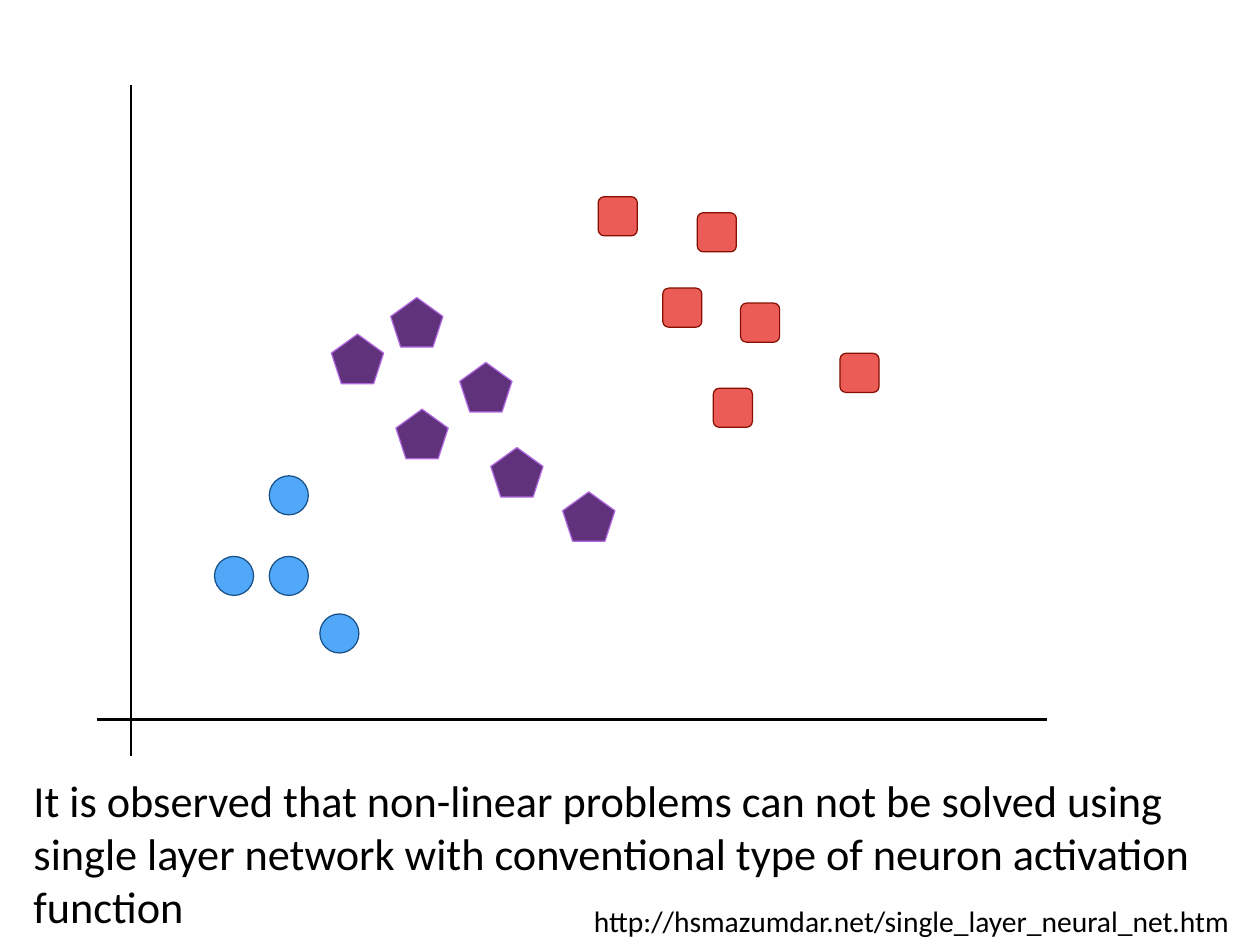
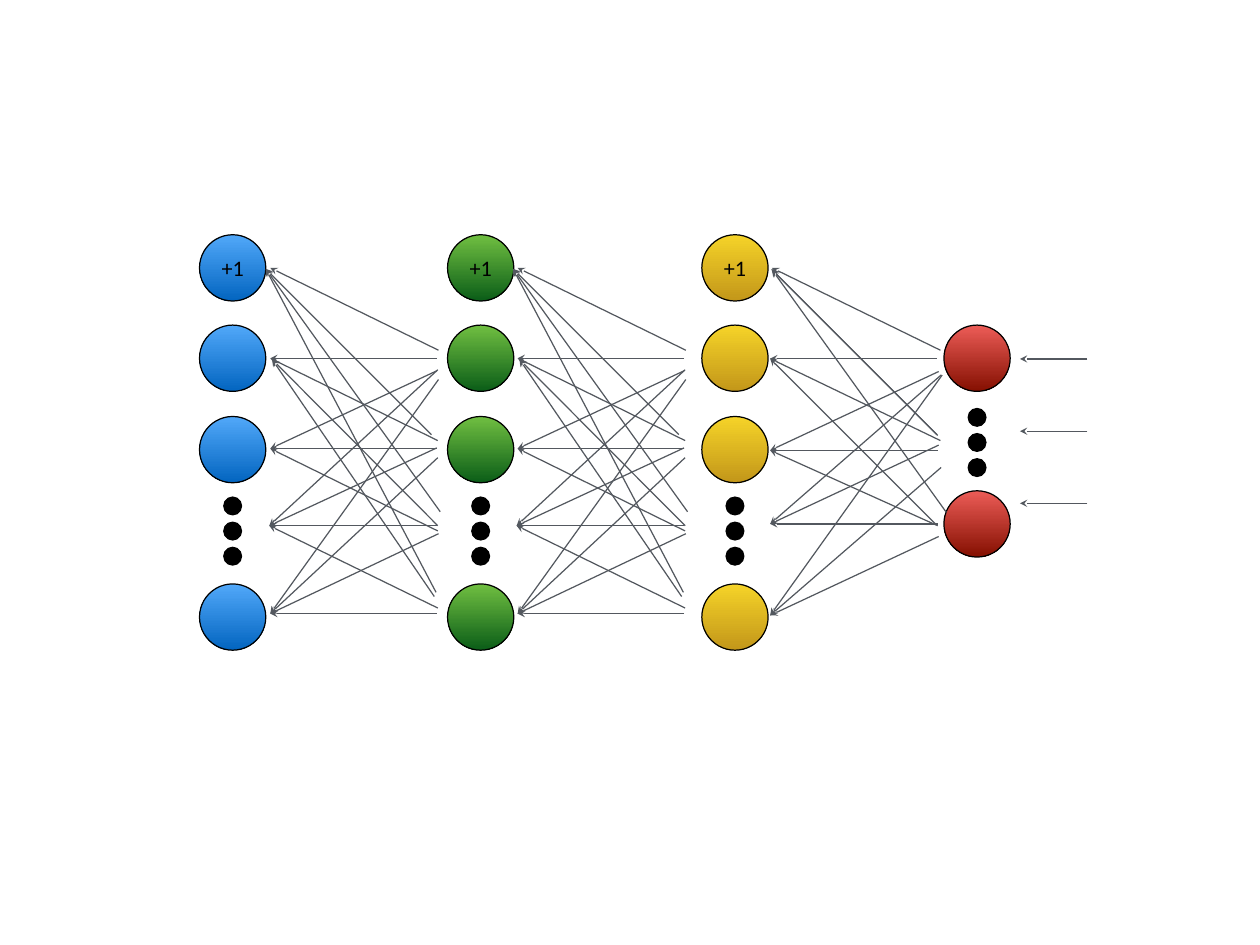
from lxml import etree
from pptx import Presentation
from pptx.dml.color import RGBColor
from pptx.enum.shapes import MSO_CONNECTOR, MSO_SHAPE
from pptx.enum.text import MSO_ANCHOR, MSO_AUTO_SIZE, PP_ALIGN
from pptx.oxml.ns import qn
from pptx.util import Cm, Pt

ELLIPSE = MSO_SHAPE.OVAL
ROUNDED = MSO_SHAPE.ROUNDED_RECTANGLE
PENTAGON = MSO_SHAPE.REGULAR_PENTAGON
STRAIGHT = MSO_CONNECTOR.STRAIGHT
MIDDLE = MSO_ANCHOR.MIDDLE
GROW = MSO_AUTO_SIZE.SHAPE_TO_FIT_TEXT
LEFT, CENTER = PP_ALIGN.LEFT, PP_ALIGN.CENTER

BLACK = RGBColor(0x00, 0x00, 0x00)
GRAY = RGBColor(0x53, 0x58, 0x5F)
SKY = RGBColor(0x51, 0xA8, 0xF9)
BLUE = RGBColor(0x03, 0x65, 0xC0)
NAVY = RGBColor(0x17, 0x4F, 0x86)
CORAL = RGBColor(0xEC, 0x5C, 0x57)
MAROON = RGBColor(0x85, 0x10, 0x01)
PURPLE = RGBColor(0x5F, 0x32, 0x7B)
LILAC = RGBColor(0xB3, 0x6A, 0xE1)
LIME = RGBColor(0x70, 0xBF, 0x41)
GREEN = RGBColor(0x0B, 0x5D, 0x18)
YELLOW = RGBColor(0xF5, 0xD3, 0x28)
GOLD = RGBColor(0xC3, 0x97, 0x1A)

FONT = "Calibri"
INSET = 0.15
SLIDE_SIZE = (36.12, 27.09)

PLOT_BOX = (2.77, 2.44, 27.25, 19.23)
CAPTION_BOX = (0.81, 22.12, 34.49, 4.65)
ADDRESS_BOX = (16.87, 25.83, 18.52, 1.12)
NETWORK_BOX = (5.72, 6.73, 25.45, 11.91)

CAPTION = ("It is observed that non-linear problems can not be solved using "
           "single layer network with conventional type of neuron activation function")
ADDRESS = "http://hsmazumdar.net/single_layer_neural_net.htm"

CLUSTERS = (
    (ELLIPSE, (1.12, 1.12), SKY, NAVY,
     ((4.95, 13.51), (3.38, 13.51), (4.95, 11.2), (6.4, 15.16))),
    (ROUNDED, (1.12, 1.12), CORAL, MAROON,
     ((14.38, 3.2), (17.22, 3.66), (21.31, 7.69), (17.68, 8.69),
      (16.23, 5.82), (18.46, 6.25))),
    (PENTAGON, (1.5, 1.42), PURPLE, LILAC,
     ((8.43, 6.09), (6.73, 7.14), (8.58, 9.29), (10.41, 7.95),
      (13.36, 11.66), (11.3, 10.39))),
)

NODE_SIZE = 1.9
DOT_SIZE = 0.51
DOT_PITCH = 0.72
DEEP_ROWS = (0, 2.59, 5.21, 10.01)
OUTPUT_ROWS = (2.59, 7.34)
LAYERS = (
    (0, (SKY, BLUE), DEEP_ROWS, 7.52, "+1"),
    (7.11, (LIME, GREEN), DEEP_ROWS, 7.52, "+1"),
    (14.4, (YELLOW, GOLD), DEEP_ROWS, 7.52, "+1"),
    (21.34, (CORAL, MAROON), OUTPUT_ROWS, 4.98, ""),
)

DEEP_FANS = (
    ((0.13, 0), ((4.95, 2.36),)),
    ((0, 0.03), ((4.75, 4.78), (5, 6.99), (4.88, 9.3))),
    ((0.13, 2.59), ((4.9, 2.59), (4.93, 4.95))),
    ((0.18, 2.62), ((4.93, 7.39), (4.83, 9.42))),
    ((0.13, 5.18), ((4.9, 2.95), (4.9, 5.18), (4.93, 7.54))),
    ((0.1, 7.39), ((4.93, 2.92), (4.9, 5.16), (4.9, 7.39), (4.93, 9.75))),
    ((0.13, 9.91), ((4.95, 3.2), (4.93, 5.44), (4.95, 7.62), (4.9, 9.91))),
)
OUTPUT_FANS = (
    ((0.05, 0), ((4.88, 2.36),)),
    ((0.05, 0.05), ((4.8, 4.8), (5.05, 7.01))),
    ((0.03, 0.03), ((4.78, 4.78),)),
    ((0, 2.6), ((4.78, 2.6), (4.88, 4.95), (4.72, 7.32))),
    ((0, 5.23), ((4.83, 2.97), (4.8, 5.23), (4.8, 7.39))),
    ((0, 7.34), ((4.9, 3.07), (4.83, 5.08), (4.8, 7.34))),
    ((0, 9.96), ((4.93, 3.07), (4.9, 5.72), (4.83, 7.7))),
)
LINK_TOP = 0.95
LINK_GROUPS = ((1.9, DEEP_FANS), (8.99, DEEP_FANS), (16.36, OUTPUT_FANS))

INPUT_LENGTH = 1.93
INPUT_TOP = 3.56
INPUT_PITCH = 2.07


def write(frame, text, size, align):
    frame.margin_left = frame.margin_right = Cm(INSET)
    frame.margin_top = frame.margin_bottom = Cm(INSET)
    frame.vertical_anchor = MIDDLE
    frame.text = text
    para = frame.paragraphs[0]
    para.alignment = align
    span = para.runs[0]
    span.font.name = FONT
    span.font.size = Pt(size)
    span.font.color.rgb = BLACK


def add_text(page, box, text, size, align, wrap):
    frame = page.shapes.add_textbox(*map(Cm, box)).text_frame
    frame.word_wrap = wrap
    frame.auto_size = GROW
    write(frame, text, size, align)


def add_preset(page, preset, box, colors, outline):
    shape = page.shapes.add_shape(preset, *map(Cm, box))
    shape.shadow.inherit = False
    if len(colors) == 1:
        shape.fill.solid()
        shape.fill.fore_color.rgb = colors[0]
    else:
        shape.fill.gradient()
        shape.fill.gradient_angle = 270
        for position, (stop, color) in enumerate(zip(shape.fill.gradient_stops, colors)):
            stop.position = position
            stop.color.rgb = color
    shape.line.color.rgb = outline
    shape.line.width = Pt(1)
    return shape


def add_line(page, start, end, color, width, arrow=False):
    line = page.shapes.add_connector(STRAIGHT, *map(Cm, start + end))
    line.line.color.rgb = color
    line.line.width = Pt(width)
    if arrow:
        etree.SubElement(line.line._get_or_add_ln(), qn("a:tailEnd"), type="stealth")
    etree.SubElement(line._element.spPr, qn("a:effectLst"))


def draw_plot(page, box):
    left, top, width, height = box
    axis_x, axis_y = left + 0.99, top + 18.18
    add_line(page, (axis_x, top + height), (axis_x, top), BLACK, 2)
    add_line(page, (left, axis_y), (left + width, axis_y), BLACK, 2)
    for preset, size, fill, outline, places in CLUSTERS:
        for x, y in places:
            marker = add_preset(page, preset, (left + x, top + y) + size, (fill,), outline)
            if preset == ROUNDED:
                marker.adjustments[0] = 0.15


def draw_layer(page, left, top, colors, rows, dots_top, label):
    for index, row in enumerate(rows):
        node = add_preset(page, ELLIPSE, (left, top + row, NODE_SIZE, NODE_SIZE),
                          colors, BLACK)
        if label and index == 0:
            write(node.text_frame, label, 18, CENTER)
    dot_left = left + (NODE_SIZE - DOT_SIZE) / 2
    for index in range(3):
        dot_top = top + dots_top + index * DOT_PITCH
        add_preset(page, ELLIPSE, (dot_left, dot_top, DOT_SIZE, DOT_SIZE), (BLACK,), BLACK)


def draw_links(page, left, top, fans):
    for (tip_x, tip_y), origins in fans:
        for x, y in origins:
            add_line(page, (left + x, top + y), (left + tip_x, top + tip_y),
                     GRAY, 1, arrow=True)


def draw_network(page, box):
    left, top, width, _ = box
    for x, colors, rows, dots_top, label in LAYERS:
        draw_layer(page, left + x, top, colors, rows, dots_top, label)
    for x, fans in LINK_GROUPS:
        draw_links(page, left + x, top + LINK_TOP, fans)
    right = left + width
    for index in range(3):
        y = top + INPUT_TOP + index * INPUT_PITCH
        add_line(page, (right, y), (right - INPUT_LENGTH, y), GRAY, 1, arrow=True)


def build_plot_slide(page):
    draw_plot(page, PLOT_BOX)
    add_text(page, ADDRESS_BOX, ADDRESS, 24, CENTER, False)
    add_text(page, CAPTION_BOX, CAPTION, 36, LEFT, True)


def build_network_slide(page):
    draw_network(page, NETWORK_BOX)


def main():
    deck = Presentation()
    deck.slide_width, deck.slide_height = map(Cm, SLIDE_SIZE)
    for build in (build_plot_slide, build_network_slide):
        build(deck.slides.add_slide(deck.slide_layouts[6]))
    deck.save("out.pptx")


if __name__ == "__main__":
    main()
